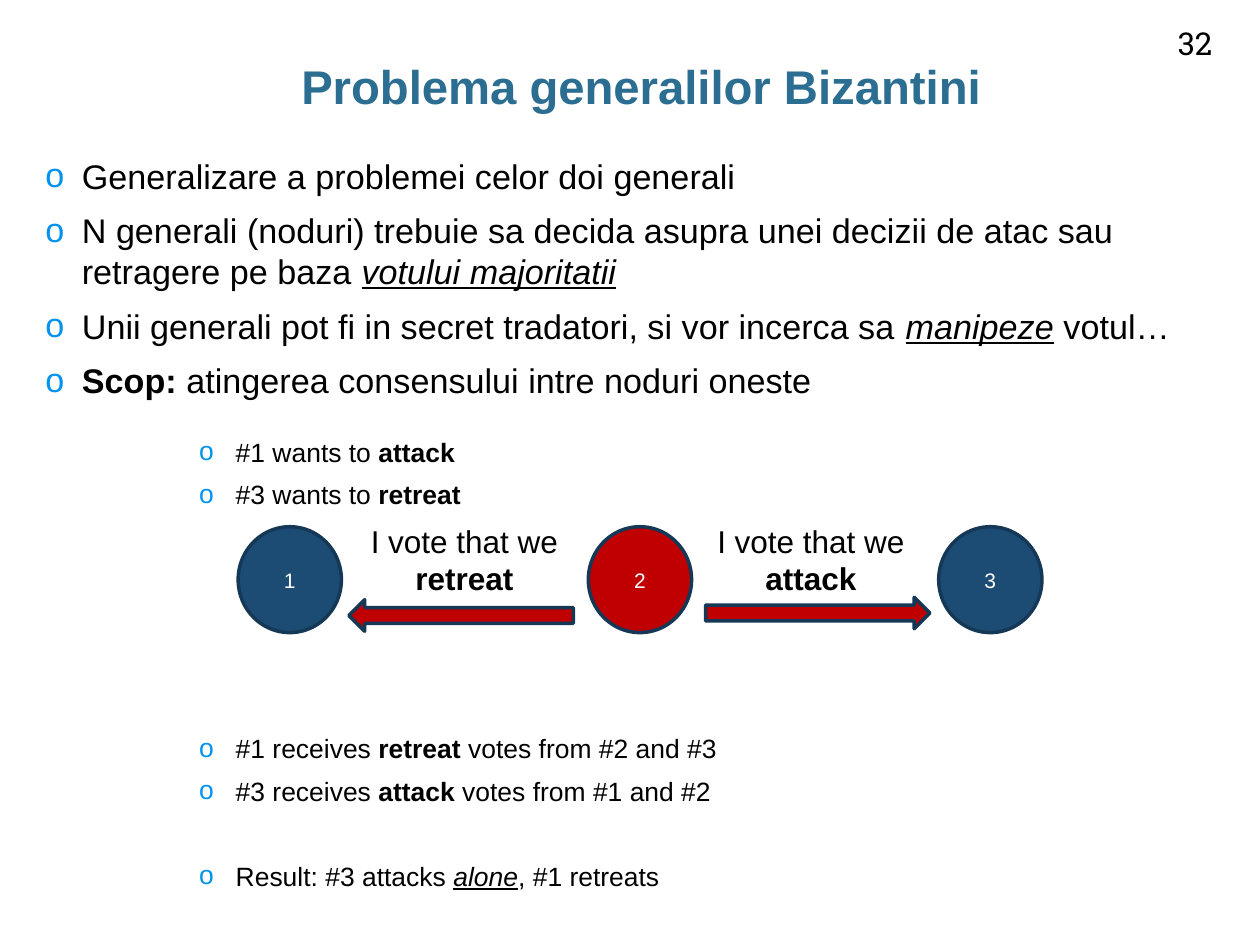
"""Build the slide on the Byzantine generals problem."""
from lxml import etree
from pptx import Presentation, util as u
from pptx.dml.color import RGBColor
from pptx.enum import shapes, text
from pptx.oxml.ns import qn

Pt = u.Pt
COLORS = {"title": "2C6D92", "text": "000000", "bullet": "0092EF", "honest": "1C4C74",
          "traitor": "C00000", "outline": "153856", "light": "FFFFFF"}


def write_runs(paragraph, pieces, size, color="text", font="Arial"):
    """Add (wording, style) pieces, where style may hold b, i and u."""
    for wording, style in pieces:
        run = paragraph.add_run()
        run.text = wording
        run.font.name = font
        run.font.size = Pt(size)
        run.font.color.rgb = RGBColor.from_string(COLORS[color])
        run.font.bold = "b" in style
        run.font.italic = "i" in style
        run.font.underline = "u" in style


def add_text_box(slide, left, top, width, height):
    """Add a wrapping text box and return its text frame."""
    frame = slide.shapes.add_textbox(Pt(left), Pt(top), Pt(width), Pt(height)).text_frame
    frame.word_wrap = True
    return frame


presentation = Presentation()
presentation.slide_width, presentation.slide_height = Pt(720), Pt(540)
slide = presentation.slides.add_slide(presentation.slide_layouts[5])

title = slide.shapes.title
title.left, title.top, title.width, title.height = Pt(26.6), Pt(28.1), Pt(679.7), Pt(56.9)
frame = title.text_frame
frame.margin_left = frame.margin_right = frame.margin_top = frame.margin_bottom = Pt(7.2)
frame.vertical_anchor = text.MSO_ANCHOR.TOP
frame.auto_size = text.MSO_AUTO_SIZE.NONE
paragraph = frame.paragraphs[0]
paragraph.alignment = text.PP_ALIGN.CENTER
paragraph.line_spacing = 0.95
write_runs(paragraph, [("Problema generalilor Bizantini", "b")], 27, "title")

frame = add_text_box(slide, 659.5, 10.1, 46.8, 28.8)
frame.vertical_anchor = text.MSO_ANCHOR.BOTTOM
frame.paragraphs[0].alignment = text.PP_ALIGN.CENTER
write_runs(frame.paragraphs[0], [("32", "")], 18, font="Roboto Slab")

problem = [
    (0, [("Generalizare a problemei celor doi generali", "")]),
    (7.8, [("N generali (noduri) trebuie sa decida asupra unei decizii de atac sau "
            "retragere pe baza ", ""), ("votului majoritatii", "iu")]),
    (7.8, [("Unii generali pot fi in secret tradatori, si vor incerca sa ", ""),
           ("manipeze", "iu"), (" votul…", "")]),
    (7.8, [("Scop:", "b"), (" atingerea consensului intre noduri oneste", "")]),
]
example = [
    (0, [("#1 wants to ", ""), ("attack", "b")]),
    (6.1, [("#3 wants to ", ""), ("retreat", "b")]),
    (127, [("#1 receives ", ""), ("retreat ", "b"), ("votes from #2 and #3", "")]),
    (6.1, [("#3 receives ", ""), ("attack ", "b"), ("votes from #1 and #2", "")]),
    (30.4, [("Result: #3 attacks ", ""), ("alone", "iu"), (", #1 retreats", "")]),
]
for left, top, width, size, items in [(25.9, 85, 667.4, 19.5, problem),
                                      (113.8, 245.5, 509.8, 15.1, example)]:
    frame = add_text_box(slide, left, top, width, 257.8)
    frame.margin_left = frame.margin_right = 0
    for index, (space, pieces) in enumerate(items):
        paragraph = frame.add_paragraph() if index else frame.paragraphs[0]
        properties = paragraph._p.get_or_add_pPr()
        properties.set("marL", str(Pt(20.9)))
        properties.set("indent", str(-Pt(20.9)))
        bullet_color = etree.SubElement(properties, qn("a:buClr"))
        etree.SubElement(bullet_color, qn("a:srgbClr"), val=COLORS["bullet"])
        etree.SubElement(properties, qn("a:buFont"), typeface="Arial")
        etree.SubElement(properties, qn("a:buChar"), char="o")
        if space:
            paragraph.space_before = Pt(space)
        write_runs(paragraph, pieces, size)

circle, arrow = shapes.MSO_SHAPE.OVAL, shapes.MSO_SHAPE.RIGHT_ARROW
diagram = [
    (circle, 136.1, 301, 59, 60.5, "honest", 0, "1"),
    (circle, 336.2, 301, 59, 60.5, "traitor", 0, "2"),
    (circle, 536.4, 301, 59, 60.5, "honest", 0, "3"),
    (arrow, 199.4, 342.7, 128.2, 18, "traitor", 180, ""),
    (arrow, 403.2, 341.3, 128.2, 18, "traitor", 0, ""),
]
for kind, left, top, width, height, fill, rotation, label in diagram:
    shape = slide.shapes.add_shape(kind, Pt(left), Pt(top), Pt(width), Pt(height))
    shape.shadow.inherit = False
    shape.rotation = rotation
    shape.fill.solid()
    shape.fill.fore_color.rgb = RGBColor.from_string(COLORS[fill])
    shape.line.color.rgb = RGBColor.from_string(COLORS["outline"])
    shape.line.width = Pt(2)
    if label:
        shape.text_frame.vertical_anchor = text.MSO_ANCHOR.MIDDLE
        paragraph = shape.text_frame.paragraphs[0]
        paragraph.alignment = text.PP_ALIGN.CENTER
        write_runs(paragraph, [(label, "")], 12, "light")

for left, vote in [(196.6, "retreat"), (394.6, "attack")]:
    frame = add_text_box(slide, left, 294.5, 137.5, 51.1)
    frame.paragraphs[0].alignment = text.PP_ALIGN.CENTER
    write_runs(frame.paragraphs[0], [("I vote that we ", ""), (vote, "b")], 18)

presentation.save("out.pptx")
